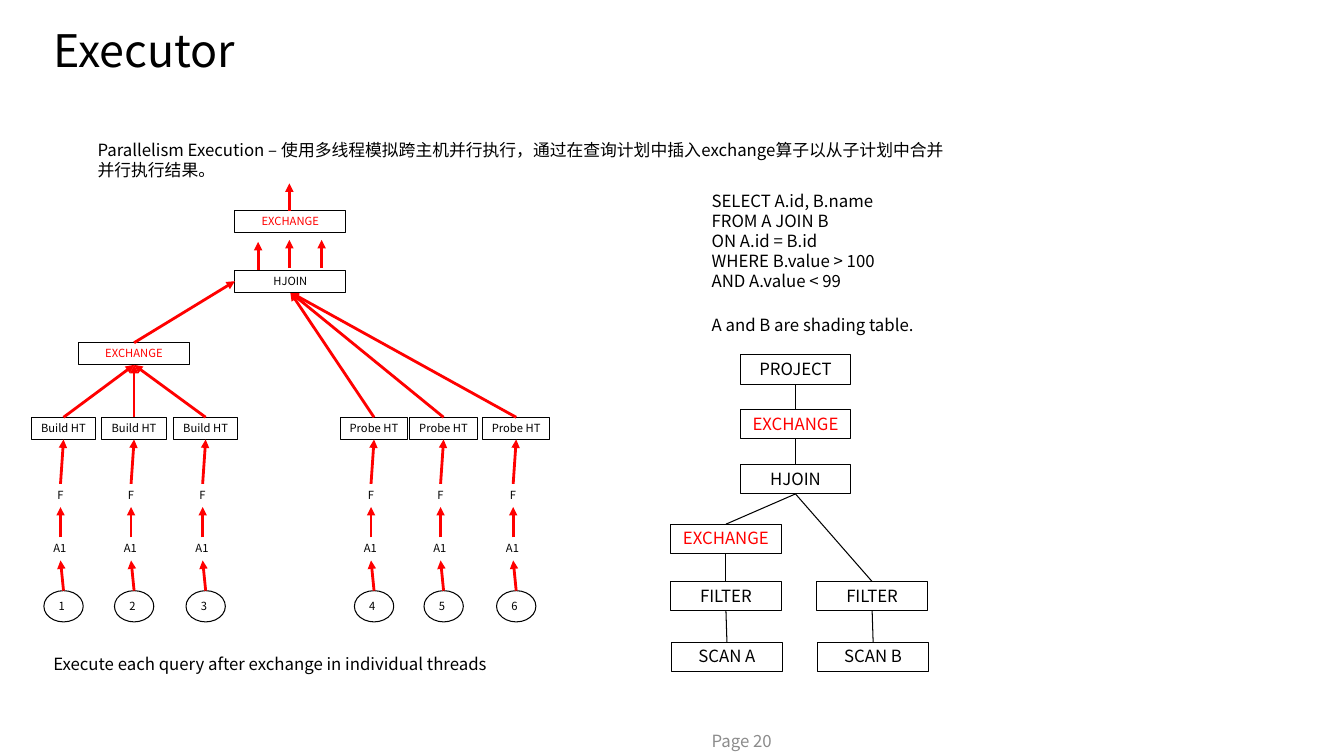
from pptx import Presentation
from pptx.dml.color import RGBColor
from pptx.enum.shapes import MSO_CONNECTOR, MSO_SHAPE
from pptx.enum.text import MSO_ANCHOR, PP_ALIGN
from pptx.oxml.ns import qn
from pptx.util import Inches, Pt
from lxml.etree import SubElement

FONT = "Noto Sans CJK SC"
BLACK, RED, GRAY = "000000", "FF0000", "8C8C8C"


def color(code):
    return RGBColor.from_string(code)


def write(frame, text, size, ink=BLACK, align=PP_ALIGN.LEFT, space=None):
    for i, line in enumerate(text.split("\n")):
        para = frame.paragraphs[0] if i == 0 else frame.add_paragraph()
        run = para.add_run()
        run.text = line
        para.alignment = align
        para.line_spacing = space or Pt(1.2 * size)
        para.font.size = Pt(size)
        para.font.name = FONT
        para.font.color.rgb = color(ink)
        # East Asian glyphs need their own typeface entry
        SubElement(run.font._element, qn("a:ea"), typeface=FONT)


def label(slide, text, box, size=12, ink=BLACK, wrap=False,
          anchor=MSO_ANCHOR.TOP, space=None):
    frame = slide.shapes.add_textbox(*map(Inches, box)).text_frame
    frame.word_wrap = wrap
    frame.vertical_anchor = anchor
    write(frame, text, size, ink, space=space)


def node(slide, text, mid, top, width, height, size, ink=BLACK,
         kind=MSO_SHAPE.FLOWCHART_PROCESS, align=PP_ALIGN.CENTER):
    """Outlined shape centred on mid."""
    shape = slide.shapes.add_shape(
        kind, Inches(mid - width / 2), Inches(top), Inches(width), Inches(height))
    shape.shadow.inherit = False
    shape.fill.background()
    shape.line.color.rgb = color(BLACK)
    shape.line.width = Pt(0.75)
    frame = shape.text_frame
    frame.word_wrap = False
    frame.vertical_anchor = MSO_ANCHOR.TOP
    frame.margin_left = frame.margin_right = Inches(0.09)
    frame.margin_top = frame.margin_bottom = Inches(0.04)
    write(frame, text, size, ink, align)


def link(slide, start, end, ink=BLACK, width=0.75, arrow=False):
    line = slide.shapes.add_connector(
        MSO_CONNECTOR.STRAIGHT, *map(Inches, (*start, *end)))
    line.line.color.rgb = color(ink)
    line.line.width = Pt(width)
    if arrow:
        SubElement(line.line._get_or_add_ln(), qn("a:tailEnd"), type="triangle")
    SubElement(line._element.spPr, qn("a:effectLst"))


def flow(slide, start, end):
    link(slide, start, end, RED, 2, True)


def lane(slide, mid, top, number, name, width):
    """One thread: scan circle, A1, F and hash table box, bottom up."""
    side = mid - 0.03
    node(slide, name, mid, top, width, 0.22, 8)
    label(slide, "F", (side - 0.13, top + 0.66, 0.26, 0.24), 8)
    label(slide, "A1", (side - 0.17, top + 1.18, 0.35, 0.24), 8)
    node(slide, str(number), mid, top + 1.72, 0.39, 0.31, 8,
         kind=MSO_SHAPE.OVAL, align=PP_ALIGN.LEFT)
    flow(slide, (mid, top + 1.72), (side, top + 1.42))
    flow(slide, (side, top + 1.19), (side, top + 0.89))
    flow(slide, (side, top + 0.66), (mid, top + 0.22))


def threads(slide, left, top):
    """Parallel plan with its six threads."""
    wide, high = 1.1, 0.22
    join, swap, base = top + 0.86, top + 1.58, top + 2.32
    root, side = left + 2.57, left + 1.02

    # Threads and the arrows out of them
    build = [("Build HT", 0.64, x, (side, swap + high)) for x in (0.32, 1.02, 1.73)]
    probe = [("Probe HT", 0.67, x, (root, join + high)) for x in (3.4, 4.09, 4.81)]
    for number, (name, width, x, goal) in enumerate(build + probe, 1):
        lane(slide, left + x, base, number, name, width)
        flow(slide, (left + x, base), goal)

    # Operators above the threads
    node(slide, "EXCHANGE", side, swap, wide, high, 8, RED)
    node(slide, "HJOIN", root, join, wide, high, 8)
    node(slide, "EXCHANGE", root, top + 0.27, wide, high, 8, RED)
    flow(slide, (side, swap), (root - wide / 2, join + high / 2))
    for shift, lift in ((-0.32, 0.58), (-0.01, 0.56), (0.31, 0.56)):
        flow(slide, (root + shift, top + lift + 0.28), (root + shift, top + lift))
    flow(slide, (root - 0.01, top + 0.27), (root - 0.01, top))


def plan(slide, left, top):
    """Query plan tree."""
    high = 0.29
    nodes = {
        "project": ("PROJECT", 1.24, 0, BLACK),
        "merge": ("EXCHANGE", 1.24, 0.54, RED),
        "join": ("HJOIN", 1.24, 1.09, BLACK),
        "swap": ("EXCHANGE", 0.55, 1.68, RED),
        "left": ("FILTER", 0.55, 2.25, BLACK),
        "right": ("FILTER", 2, 2.25, BLACK),
        "a": ("SCAN A", 0.56, 2.85, BLACK),
        "b": ("SCAN B", 2.01, 2.85, BLACK),
    }
    links = [("project", "merge"), ("merge", "join"), ("join", "swap"),
             ("join", "right"), ("swap", "left"), ("left", "a"), ("right", "b")]
    for text, x, y, ink in nodes.values():
        node(slide, text, left + x, top + y, 1.1, high, 12, ink)
    for upper, lower in links:
        _, x1, y1, _ = nodes[upper]
        _, x2, y2, _ = nodes[lower]
        link(slide, (left + x1, top + y1 + high), (left + x2, top + y2))


def query(slide, left, top):
    """Query text and its remark."""
    label(slide, "SELECT A.id, B.name\nFROM A JOIN B\nON A.id = B.id\n"
          "WHERE B.value > 100\nAND A.value < 99", (left, top, 1.93, 1.11))
    label(slide, "A and B are shading table.", (left, top + 1.23, 2.31, 0.3))


def main():
    deck = Presentation()
    deck.slide_width, deck.slide_height = Inches(13.33), Inches(7.5)
    slide = deck.slides.add_slide(deck.slide_layouts[6])

    # Heading and captions
    label(slide, "Executor", (0.43, 0.05, 8.43, 0.95), 32, wrap=True,
          anchor=MSO_ANCHOR.MIDDLE, space=0.9)
    label(slide, "Parallelism Execution – 使用多线程模拟跨主机并行执行，"
          "通过在查询计划中插入exchange算子以从子计划中合并并行执行结果。",
          (0.87, 1.34, 8.74, 0.5), wrap=True)
    label(slide, "Execute each query after exchange in individual threads",
          (0.43, 6.44, 5.02, 0.3), wrap=True)
    label(slide, "Page 20", (6.96, 7.1, 2.29, 0.5), ink=GRAY, wrap=True,
          anchor=MSO_ANCHOR.MIDDLE)

    # Diagrams
    threads(slide, 0.31, 1.82)
    query(slide, 6.96, 1.84)
    plan(slide, 6.65, 3.52)
    deck.save("out.pptx")


if __name__ == "__main__":
    main()
